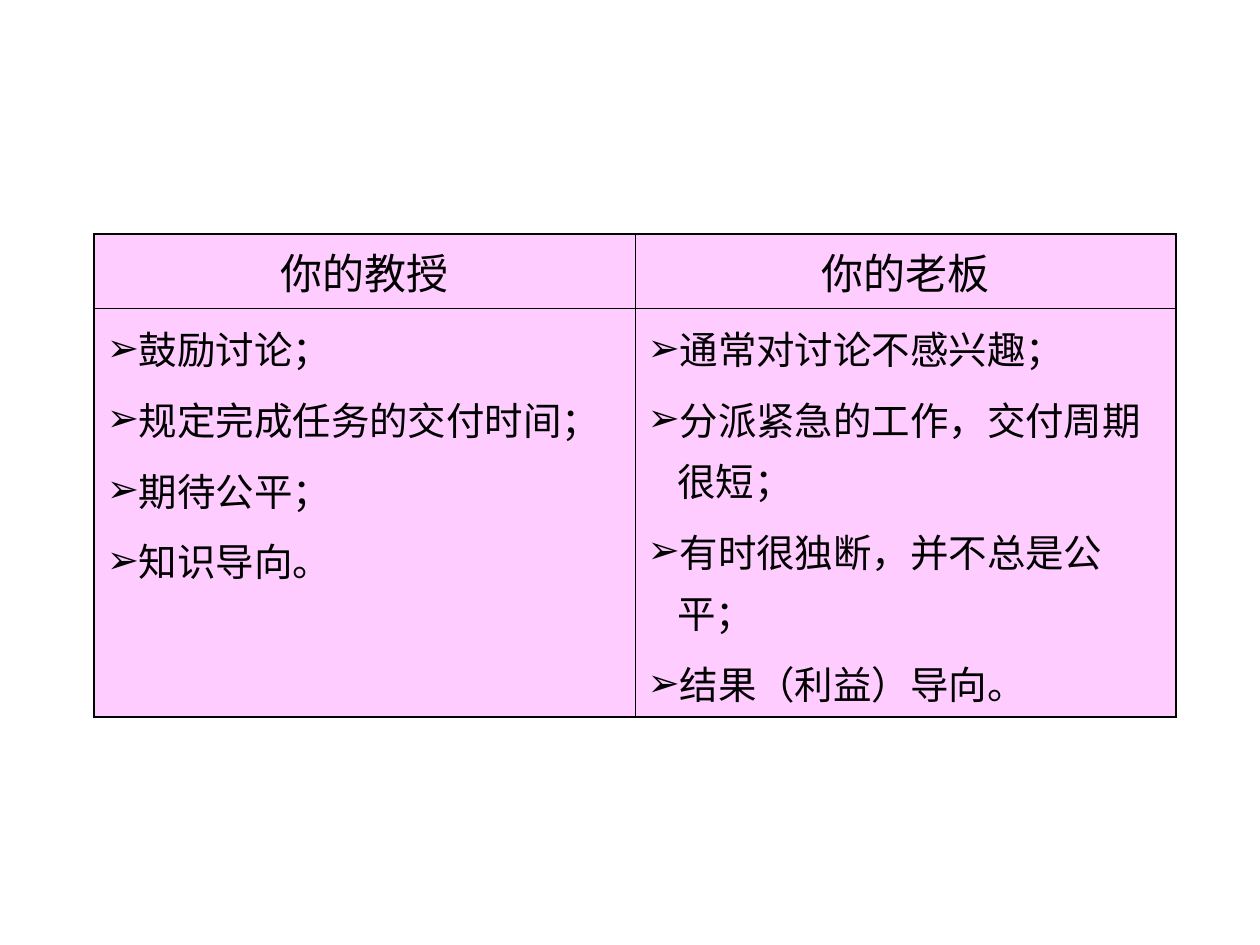
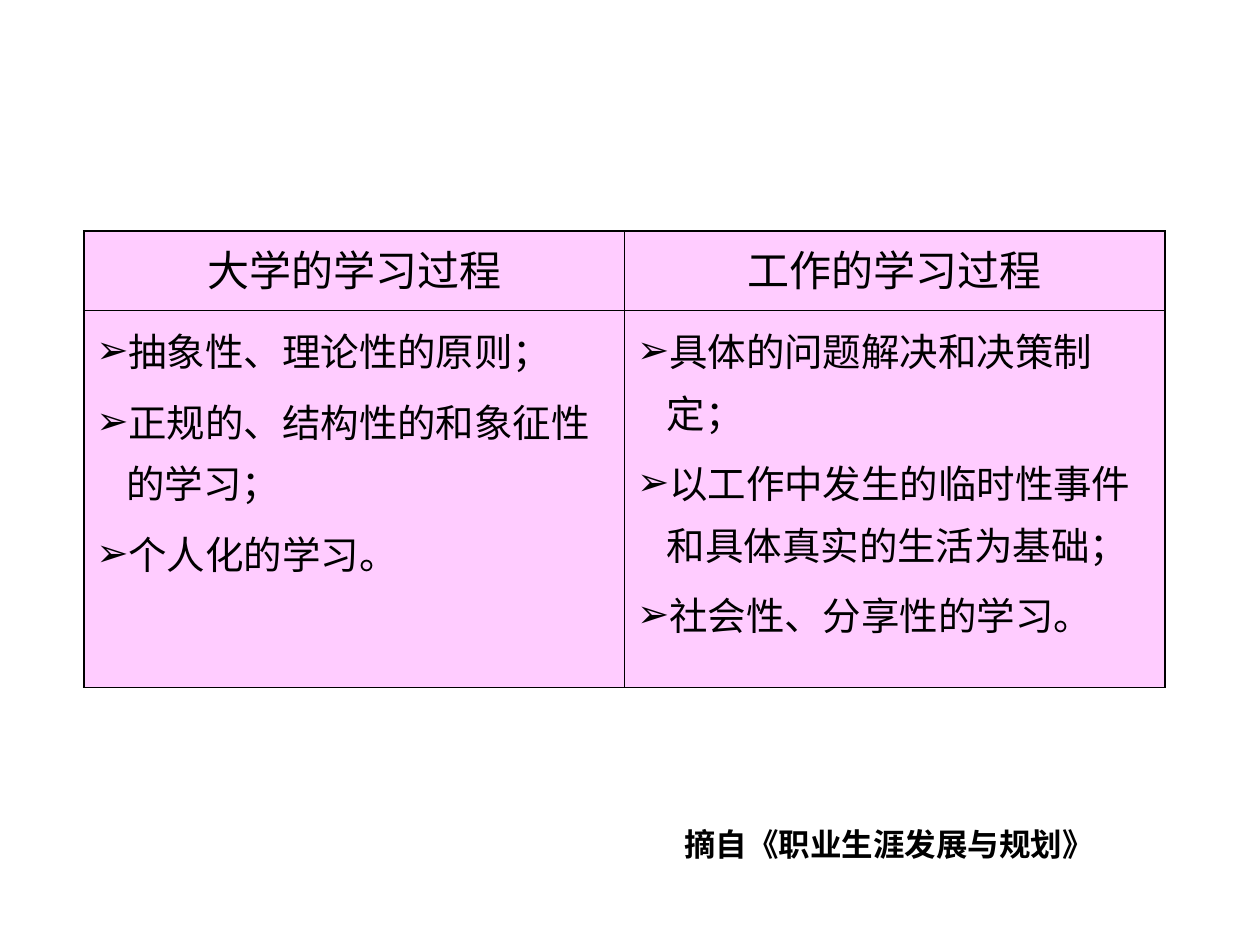
from dataclasses import dataclass

import lxml.etree
import pptx
import pptx.dml.color
import pptx.enum.text
import pptx.oxml.ns
import pptx.presentation
import pptx.slide
import pptx.text.text
import pptx.util

Cm = pptx.util.Cm
Pt = pptx.util.Pt
qn = pptx.oxml.ns.qn


# Shared look
@dataclass(frozen=True)
class Theme:
    ink: str = "000000"
    cell_fill: str = "FFCCFF"
    font: str = "Noto Sans CJK SC"
    latin_font: str = "Arial"
    header_size: float = 24
    body_size: float = 22
    source_size: float = 18
    outer_line: float = 1.08
    inner_line: float = 0.45
    line_spacing: float = 1.1
    item_gap: float = 5.5
    column_width: float = 10.9
    bullet: str = "➢"
    bullet_indent: float = 0.6


THEME = Theme()


# What the slides hold
@dataclass(frozen=True)
class Column:
    heading: str
    items: tuple[str, ...]


@dataclass(frozen=True)
class Comparison:
    left: float
    top: float
    row_heights: tuple[float, float]
    columns: tuple[Column, ...]
    source: str = ""


COMPARISONS = (
    Comparison(1.9, 4.72, (1.49, 8.24), (
        Column("你的教授", (
            "鼓励讨论；",
            "规定完成任务的交付时间；",
            "期待公平；",
            "知识导向。",
        )),
        Column("你的老板", (
            "通常对讨论不感兴趣；",
            "分派紧急的工作，交付周期很短；",
            "有时很独断，并不总是公平；",
            "结果（利益）导向。",
        )),
    )),
    Comparison(1.69, 4.66, (1.6, 7.6), (
        Column("大学的学习过程", (
            "抽象性、理论性的原则；",
            "正规的、结构性的和象征性的学习；",
            "个人化的学习。",
        )),
        Column("工作的学习过程", (
            "具体的问题解决和决策制定；",
            "以工作中发生的临时性事件和具体真实的生活为基础；",
            "社会性、分享性的学习。",
        )),
    ), source="摘自《职业生涯发展与规划》"),
)


# Text
def apply_format(target: object, values: dict[str, object]) -> None:
    for name, value in values.items():
        setattr(target, name, value)


def write_run(paragraph: pptx.text.text._Paragraph, text: str, size: float,
              font: str = THEME.font, bold: bool = False) -> None:
    run = paragraph.add_run()
    run.text = text
    apply_format(run.font, {"size": Pt(size), "name": font, "bold": bold})
    run.font.color.rgb = pptx.dml.color.RGBColor.from_string(THEME.ink)
    east_asian = lxml.etree.SubElement(run._r.get_or_add_rPr(), qn("a:ea"))
    east_asian.set("typeface", THEME.font)


def add_bullet(paragraph: pptx.text.text._Paragraph) -> None:
    properties = paragraph._p.get_or_add_pPr()
    indent = int(Cm(THEME.bullet_indent))
    # Closing punctuation stays inside the cell
    for name, value in (("marL", indent), ("indent", -indent), ("hangingPunct", 0)):
        properties.set(name, str(value))
    for tag, name, value in (("a:buFont", "typeface", THEME.latin_font),
                             ("a:buChar", "char", THEME.bullet)):
        lxml.etree.SubElement(properties, qn(tag)).set(name, value)


def write_items(frame: pptx.text.text.TextFrame, items: tuple[str, ...]) -> None:
    for index, item in enumerate(items):
        paragraph = frame.add_paragraph() if index else frame.paragraphs[0]
        add_bullet(paragraph)
        apply_format(paragraph, {
            "line_spacing": THEME.line_spacing,
            "space_before": Pt(THEME.item_gap if index else 0),
        })
        write_run(paragraph, item, THEME.body_size)


# Table
def style_cell(cell: object, row: int, column: int, last_column: int) -> None:
    outer_edges = {"L": column == 0, "R": column == last_column,
                   "T": row == 0, "B": row == 1}
    properties = cell._tc.get_or_add_tcPr()
    for side, is_outer in outer_edges.items():
        line = lxml.etree.SubElement(properties, qn(f"a:ln{side}"))
        width = THEME.outer_line if is_outer else THEME.inner_line
        line.set("w", str(int(Pt(width))))
        fill = lxml.etree.SubElement(line, qn("a:solidFill"))
        lxml.etree.SubElement(fill, qn("a:srgbClr")).set("val", THEME.ink)
    cell.fill.solid()
    cell.fill.fore_color.rgb = pptx.dml.color.RGBColor.from_string(THEME.cell_fill)


def add_comparison_table(slide: pptx.slide.Slide, comparison: Comparison) -> None:
    count = len(comparison.columns)
    table = slide.shapes.add_table(
        2, count, Cm(comparison.left), Cm(comparison.top),
        Cm(THEME.column_width * count), Cm(sum(comparison.row_heights))).table
    apply_format(table, {"first_row": False, "horz_banding": False})
    for row, height in zip(table.rows, comparison.row_heights):
        row.height = Cm(height)
    for index, column in enumerate(comparison.columns):
        table.columns[index].width = Cm(THEME.column_width)
        for row in range(2):
            style_cell(table.cell(row, index), row, index, count - 1)
        heading = table.cell(0, index).text_frame.paragraphs[0]
        heading.alignment = pptx.enum.text.PP_ALIGN.CENTER
        write_run(heading, column.heading, THEME.header_size)
        write_items(table.cell(1, index).text_frame, column.items)


# Source line
def add_source(slide: pptx.slide.Slide, text: str) -> None:
    box = slide.shapes.add_textbox(Cm(13.54), Cm(16.51), Cm(9.32), Cm(1.02))
    box.text_frame.word_wrap = True
    write_run(box.text_frame.paragraphs[0], text, THEME.source_size,
              THEME.latin_font, bold=True)


def add_comparison_slide(presentation: pptx.presentation.Presentation,
                         comparison: Comparison) -> None:
    slide = presentation.slides.add_slide(presentation.slide_layouts[6])
    add_comparison_table(slide, comparison)
    if comparison.source:
        add_source(slide, comparison.source)


def main() -> None:
    presentation = pptx.Presentation()
    apply_format(presentation, {"slide_width": Cm(25.4), "slide_height": Cm(19.05)})
    for comparison in COMPARISONS:
        add_comparison_slide(presentation, comparison)
    presentation.save("out.pptx")


if __name__ == "__main__":
    main()
